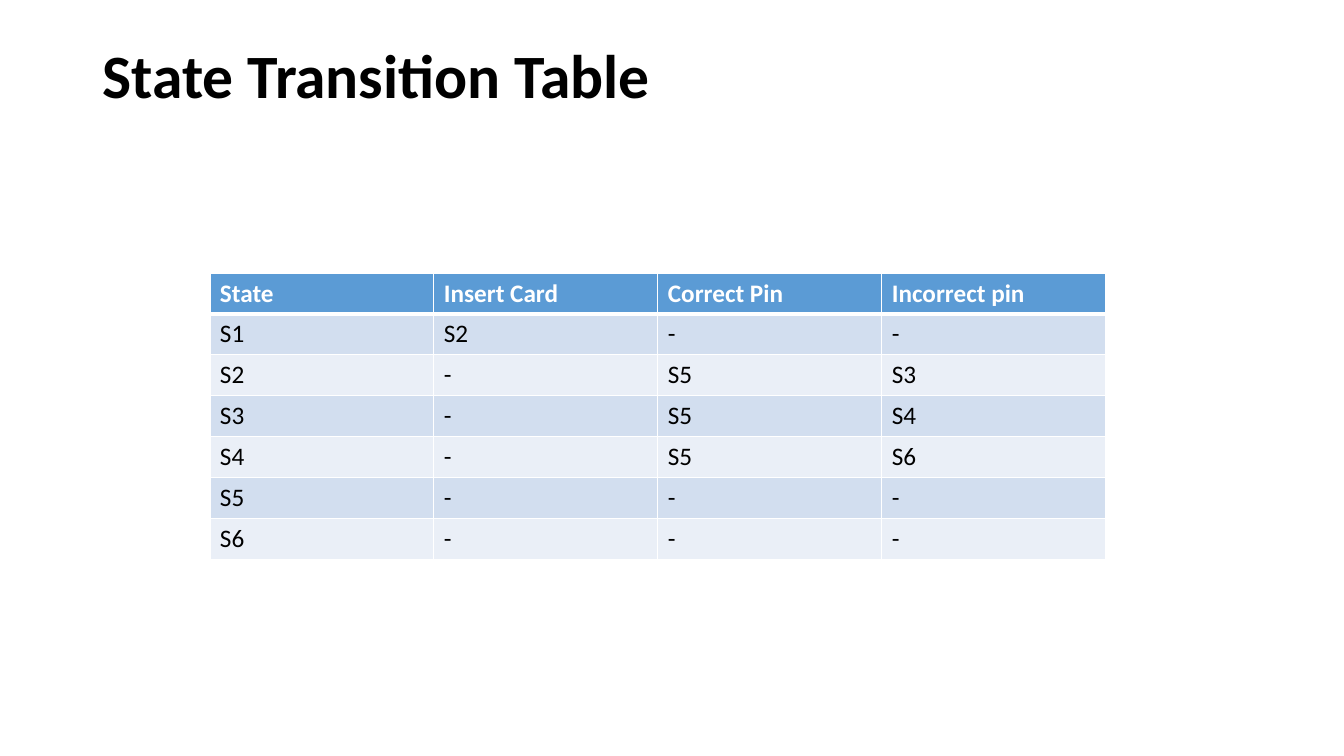
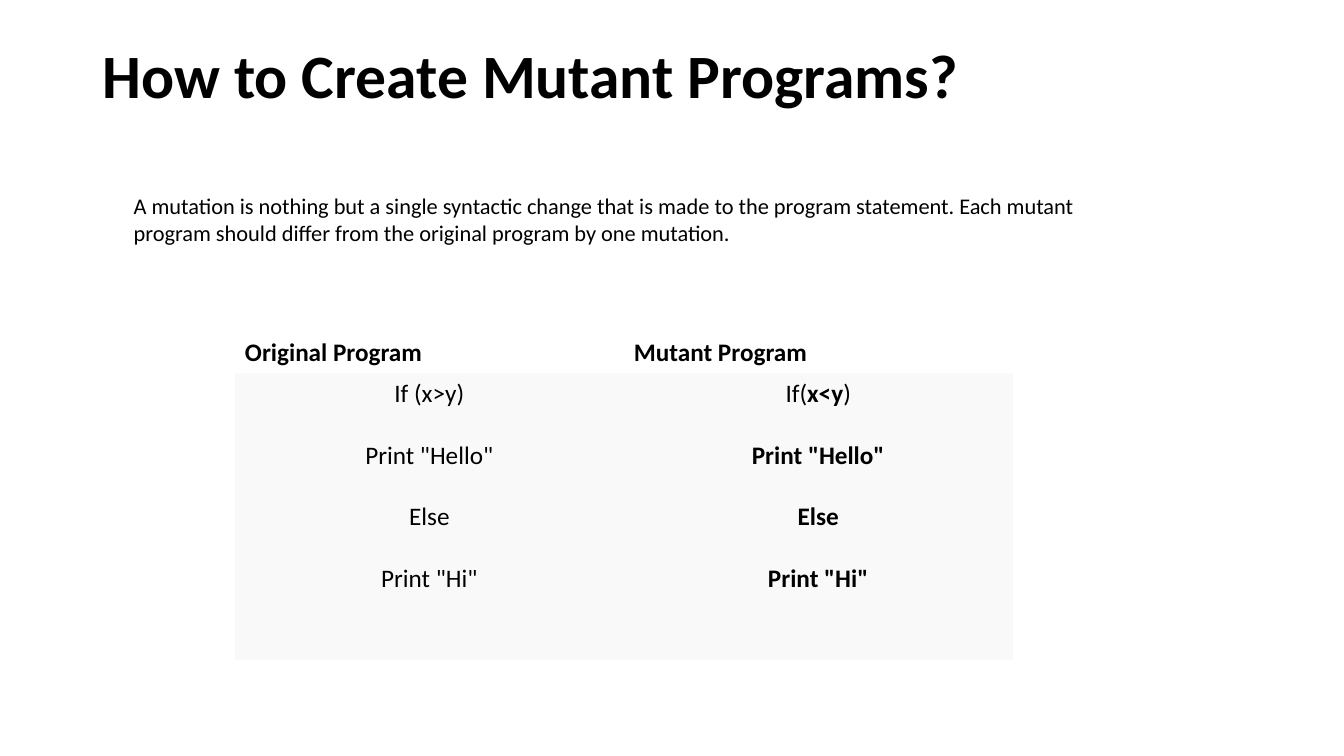
import pptx
import pptx.dml.color
import pptx.enum.text
import pptx.util
from lxml import etree
from pptx.oxml.ns import qn

Cm, Pt = pptx.util.Cm, pptx.util.Pt
LEFT, CENTER = pptx.enum.text.PP_ALIGN.LEFT, pptx.enum.text.PP_ALIGN.CENTER

FONT = "Calibri"
BLACK, WHITE, BLUE = "000000", "FFFFFF", "5B9BD5"
BANDS = "D2DEEF", "EAEFF7"
PALE_GREY = "F9F9F9"
NO_STYLE = "{2D5ABB26-0587-4C30-8999-92F81FD0307C}"

STATE_TITLE = "State Transition Table"
STATES = [
    ("State", "Insert Card", "Correct Pin", "Incorrect pin"),
    ("S1", "S2", "-", "-"),
    ("S2", "-", "S5", "S3"),
    ("S3", "-", "S5", "S4"),
    ("S4", "-", "S5", "S6"),
    ("S5", "-", "-", "-"),
    ("S6", "-", "-", "-"),
]

MUTANT_TITLE = "How to Create Mutant Programs?"
MUTATION = (
    "A mutation is nothing but a single syntactic change that is made to the "
    "program statement. Each mutant program should differ from the original "
    "program by one mutation."
)
# Asterisks enclose bold text; each line becomes a paragraph.
PROGRAMS = [
    ("Original Program", "Mutant Program"),
    (
        'If (x>y)\nPrint "Hello"\nElse\nPrint "Hi"',
        'If(*x<y*)\n*Print "Hello"*\n*Else*\n*Print "Hi"*',
    ),
]


def rgb(value):
    return pptx.dml.color.RGBColor.from_string(value)


def write(frame, text, size=18, color=BLACK, bold=False, align=LEFT,
          line_spacing=1.0, gap=0):
    """Fill a text frame, with gap points between its paragraphs."""
    frame.word_wrap = True
    for number, line in enumerate(text.split("\n")):
        paragraph = frame.add_paragraph() if number else frame.paragraphs[0]
        paragraph.alignment = align
        paragraph.line_spacing = line_spacing
        paragraph.space_before = Pt(gap if number else 0)
        for position, part in enumerate(line.split("*")):
            if not part:
                continue
            run = paragraph.add_run()
            run.text = part
            font = run.font
            font.name, font.size = FONT, Pt(size)
            font.bold = bold or position % 2 == 1
            font.color.rgb = rgb(color)


def add_titled_slide(deck, title_text):
    slide = deck.slides.add_slide(deck.slide_layouts[5])
    title = slide.shapes.title
    title.left, title.top = Cm(2.33), Cm(1.02)
    title.width, title.height = Cm(29.21), Cm(3.68)
    frame = title.text_frame
    frame.auto_size = pptx.enum.text.MSO_AUTO_SIZE.NONE
    frame.vertical_anchor = pptx.enum.text.MSO_ANCHOR.TOP
    write(frame, title_text, size=44, bold=True, line_spacing=0.9)
    return slide


def set_borders(cell, color, **widths):
    """Draw borders on the sides L, R, T and B, with widths in points."""
    properties = cell._tc.get_or_add_tcPr()
    for side, width in widths.items():
        line = etree.SubElement(properties, qn("a:ln" + side), w=str(Pt(width)))
        fill = etree.SubElement(line, qn("a:solidFill"))
        etree.SubElement(fill, qn("a:srgbClr"), val=color)


def add_plain_table(slide, rows, left, top, width, heights):
    """Add an unstyled table and yield (row number, cell, text)."""
    table = slide.shapes.add_table(
        len(rows), len(rows[0]), left, top, width, sum(heights)).table
    table.first_row = table.horz_banding = False
    table._tbl.tblPr.find(qn("a:tableStyleId")).text = NO_STYLE
    for number, (texts, height) in enumerate(zip(rows, heights)):
        table.rows[number].height = height
        for column, text in enumerate(texts):
            yield number, table.cell(number, column), text


def fill_cell(cell, color):
    cell.fill.solid()
    cell.fill.fore_color.rgb = rgb(color)


def build_states(deck):
    slide = add_titled_slide(deck, STATE_TITLE)
    heights = [Cm(1.03)] * len(STATES)
    for row, cell, text in add_plain_table(
            slide, STATES, Cm(5.29), Cm(6.88), Cm(22.58), heights):
        header = row == 0
        set_borders(cell, WHITE, L=1, R=1,
                    T=3 if row == 1 else 1, B=3 if header else 1)
        fill_cell(cell, BLUE if header else BANDS[(row - 1) % 2])
        write(cell.text_frame, text, bold=header,
              color=WHITE if header else BLACK)


def build_mutants(deck):
    slide = add_titled_slide(deck, MUTANT_TITLE)
    for row, cell, text in add_plain_table(
            slide, PROGRAMS, Cm(5.92), Cm(8.38), Cm(19.6), [Cm(1.02), Cm(7.21)]):
        header = row == 0
        fill_cell(cell, WHITE if header else PALE_GREY)
        write(cell.text_frame, text, bold=header, gap=22,
              align=LEFT if header else CENTER)
    mutation = slide.shapes.add_textbox(Cm(3.12), Cm(4.72), Cm(25.5), Cm(2.31))
    write(mutation.text_frame, MUTATION, size=16)


def main():
    deck = pptx.Presentation()
    deck.slide_width, deck.slide_height = Cm(33.87), Cm(19.05)
    build_states(deck)
    build_mutants(deck)
    deck.save("out.pptx")


if __name__ == "__main__":
    main()
